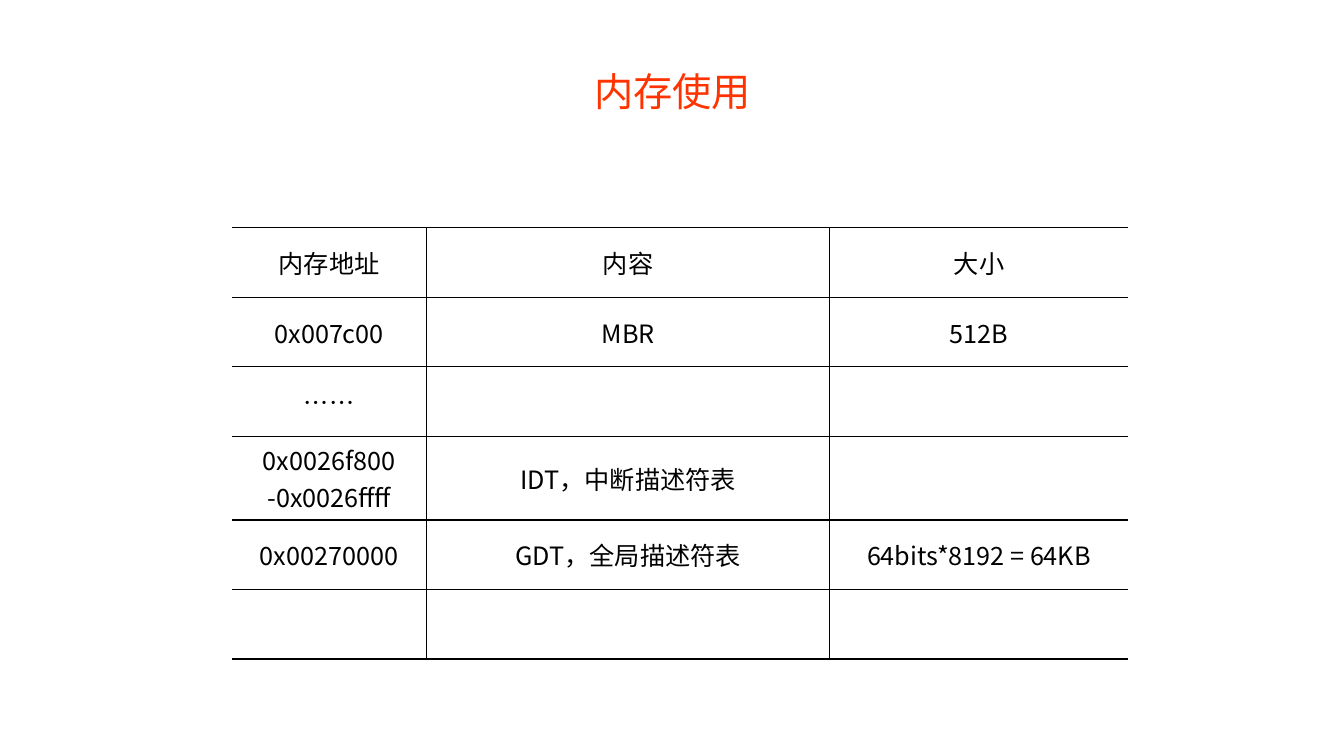
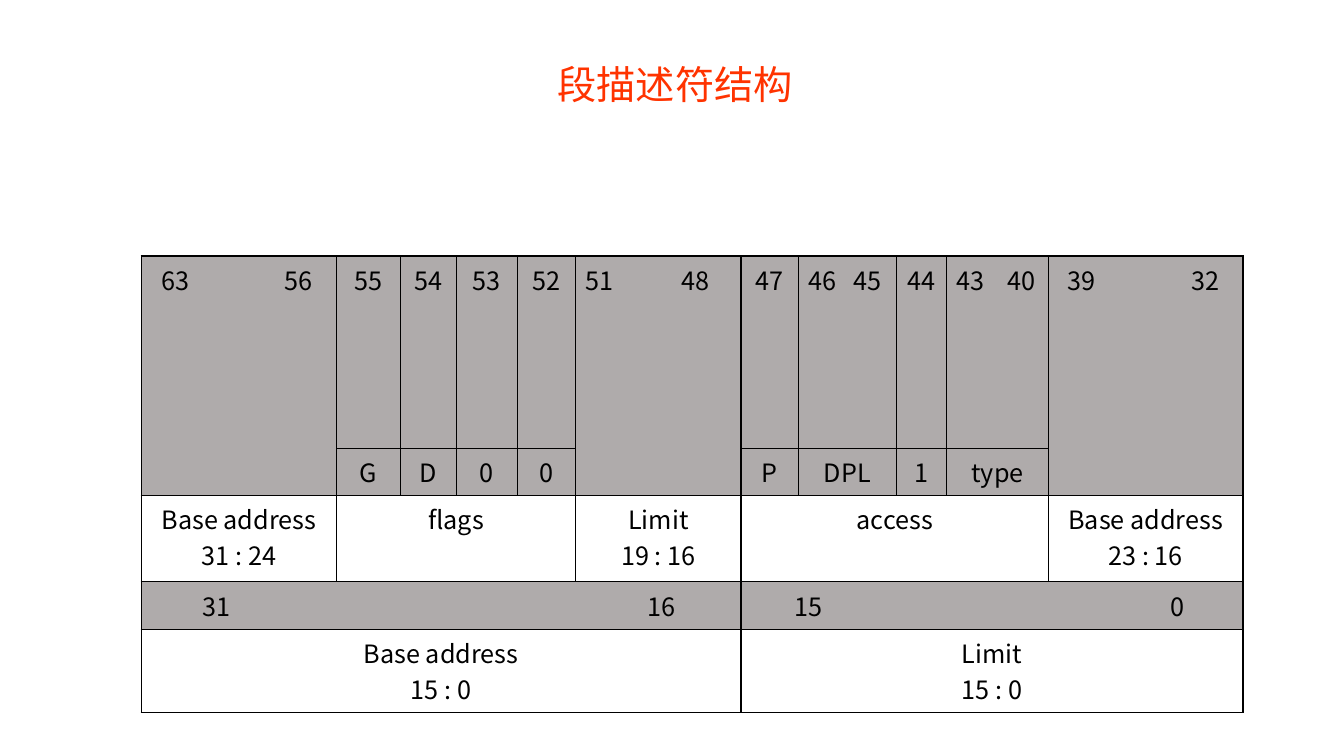
from dataclasses import dataclass

from lxml import etree
from pptx import Presentation
from pptx.dml.color import RGBColor
from pptx.enum.text import MSO_ANCHOR, PP_ALIGN
from pptx.oxml.ns import qn
from pptx.util import Inches, Pt


@dataclass(frozen=True)
class Theme:
    font: str = "Noto Sans CJK SC"
    title_size: int = 28
    body_size: int = 18
    title_color: str = "FF3300"
    ink: str = "000000"
    shade: str = "AFABAB"
    paper: str = "FFFFFF"
    line_width: int = 1


@dataclass(frozen=True)
class BitRange:
    high: str
    low: str
    indent: float
    gap: float


@dataclass(frozen=True)
class Field:
    row: int
    column: int
    content: str | BitRange
    rows: int = 1
    columns: int = 1


THEME = Theme()
SIDES = ("L", "R", "T", "B")

MEMORY_ROWS = [
    ("内存地址", "内容", "大小"),
    ("0x007c00", "MBR", "512B"),
    ("……", "", ""),
    ("0x0026f800\n-0x0026ffff", "IDT，中断描述符表", ""),
    ("0x00270000", "GDT，全局描述符表", "64bits*8192 = 64KB"),
    ("", "", ""),
]
MEMORY_COLUMN_WIDTHS = [1.93, 4, 2.96]
MEMORY_ROW_HEIGHTS = [0.69, 0.69, 0.69, 0.83, 0.69, 0.69]

DESCRIPTOR_COLUMN_WIDTHS = [1.94, 0.63, 0.56, 0.6, 0.58, 1.64, 0.57, 0.97, 0.5, 1.01, 1.93]
DESCRIPTOR_ROW_HEIGHTS = [1.91, 0.46, 0.86, 0.47, 0.83]
SHADED_ROWS = {0, 1, 3}
DESCRIPTOR_FIELDS = [
    Field(0, 0, BitRange("63", "56", 0.2, 1.22), rows=2),
    *(Field(0, column, bit) for column, bit in enumerate(("55", "54", "53", "52"), 1)),
    Field(0, 5, BitRange("51", "48", 0.1, 0.95), rows=2),
    Field(0, 6, "47"),
    Field(0, 7, BitRange("46", "45", 0.1, 0.45)),
    Field(0, 8, "44"),
    Field(0, 9, BitRange("43", "40", 0.1, 0.5)),
    Field(0, 10, BitRange("39", "32", 0.19, 1.23), rows=2),
    *(Field(1, column, flag) for column, flag in enumerate("GD00", 1)),
    *(Field(1, column, access) for column, access in enumerate(("P", "DPL", "1", "type"), 6)),
    Field(2, 0, "Base address\n31 : 24"),
    Field(2, 1, "flags", columns=4),
    Field(2, 5, "Limit\n19 : 16"),
    Field(2, 6, "access", columns=4),
    Field(2, 10, "Base address\n23 : 16"),
    Field(3, 0, BitRange("31", "16", 0.61, 4.41), columns=6),
    Field(3, 6, BitRange("15", "0", 0.53, 3.73), columns=5),
    Field(4, 0, "Base address\n15 : 0", columns=6),
    Field(4, 6, "Limit\n15 : 0", columns=5),
]


def style_paragraph(paragraph, size, color, alignment=PP_ALIGN.CENTER):
    """Apply the theme font to Latin and East Asian text."""
    paragraph.alignment = alignment
    font = paragraph.font
    font.name, font.size = THEME.font, Pt(size)
    font.color.rgb = RGBColor.from_string(color)
    east_asian = etree.Element(qn("a:ea"), typeface=THEME.font)
    font._element.find(qn("a:latin")).addnext(east_asian)


def add_titled_slide(presentation, title, left, top, width):
    """Add a slide with a centred title."""
    slide = presentation.slides.add_slide(presentation.slide_layouts[5])
    shape = slide.shapes.title
    shape.left, shape.top = Inches(left), Inches(top)
    shape.width, shape.height = Inches(width), Inches(0.57)
    frame = shape.text_frame
    frame.text = title
    frame.vertical_anchor = MSO_ANCHOR.MIDDLE
    frame.margin_top = frame.margin_bottom = 0
    style_paragraph(frame.paragraphs[0], THEME.title_size, THEME.title_color)
    return slide


def add_grid(slide, left, top, widths, heights):
    """Add a plain table with the given column widths and row heights."""
    frame = slide.shapes.add_table(
        len(heights), len(widths), Inches(left), Inches(top),
        Inches(sum(widths)), Inches(sum(heights)))
    table = frame.table
    table.first_row = table.horz_banding = False
    for column, width in zip(table.columns, widths):
        column.width = Inches(width)
    for row, height in zip(table.rows, heights):
        row.height = Inches(height)
    return table


def style_cell(cell, fill, hidden_sides=()):
    """Draw the cell borders and its fill."""
    properties = cell._tc.get_or_add_tcPr()
    for side in SIDES:
        line = etree.SubElement(properties, qn(f"a:ln{side}"), w=str(Pt(THEME.line_width)))
        if side in hidden_sides:
            etree.SubElement(line, qn("a:noFill"))
        else:
            solid = etree.SubElement(line, qn("a:solidFill"))
            etree.SubElement(solid, qn("a:srgbClr"), val=THEME.ink)
    cell.fill.solid()
    cell.fill.fore_color.rgb = RGBColor.from_string(fill)


def write_cell(cell, text, alignment=PP_ALIGN.CENTER):
    """Write lines of body text into a cell."""
    cell.text = text
    for paragraph in cell.text_frame.paragraphs:
        style_paragraph(paragraph, THEME.body_size, THEME.ink, alignment)


def write_bit_range(cell, bits):
    """Write the two ends of a bit range, set apart by a tab stop."""
    write_cell(cell, "\t".join((bits.high, bits.low)), PP_ALIGN.LEFT)
    cell.margin_left, cell.margin_right = Inches(bits.indent), 0
    properties = cell.text_frame.paragraphs[0]._p.get_or_add_pPr()
    stops = etree.Element(qn("a:tabLst"))
    etree.SubElement(stops, qn("a:tab"), pos=str(Inches(bits.gap)), algn="l")
    properties.find(qn("a:defRPr")).addprevious(stops)


def add_memory_slide(presentation):
    """Build the slide on memory use."""
    slide = add_titled_slide(presentation, "内存使用", 0.37, 0.62, 12.6)
    table = add_grid(slide, 2.3, 2.26, MEMORY_COLUMN_WIDTHS, MEMORY_ROW_HEIGHTS)
    open_sides = {0: "L", len(MEMORY_COLUMN_WIDTHS) - 1: "R"}
    for row, texts in enumerate(MEMORY_ROWS):
        for column, content in enumerate(texts):
            cell = table.cell(row, column)
            style_cell(cell, THEME.paper, open_sides.get(column, ()))
            cell.vertical_anchor = MSO_ANCHOR.MIDDLE
            write_cell(cell, content)


def add_descriptor_slide(presentation):
    """Build the slide on the segment descriptor layout."""
    slide = add_titled_slide(presentation, "段描述符结构", 0.21, 0.55, 12.97)
    table = add_grid(slide, 1.4, 2.54, DESCRIPTOR_COLUMN_WIDTHS, DESCRIPTOR_ROW_HEIGHTS)
    for row in range(len(DESCRIPTOR_ROW_HEIGHTS)):
        for column in range(len(DESCRIPTOR_COLUMN_WIDTHS)):
            style_cell(table.cell(row, column), THEME.shade if row in SHADED_ROWS else THEME.paper)
    for field in DESCRIPTOR_FIELDS:
        cell = table.cell(field.row, field.column)
        if field.rows > 1 or field.columns > 1:
            cell.merge(table.cell(field.row + field.rows - 1, field.column + field.columns - 1))
        if isinstance(field.content, BitRange):
            write_bit_range(cell, field.content)
        else:
            write_cell(cell, field.content)


def main():
    """Build and save the presentation."""
    presentation = Presentation()
    presentation.slide_width, presentation.slide_height = Inches(13.33), Inches(7.5)
    add_memory_slide(presentation)
    add_descriptor_slide(presentation)
    presentation.save("out.pptx")


if __name__ == "__main__":
    main()
